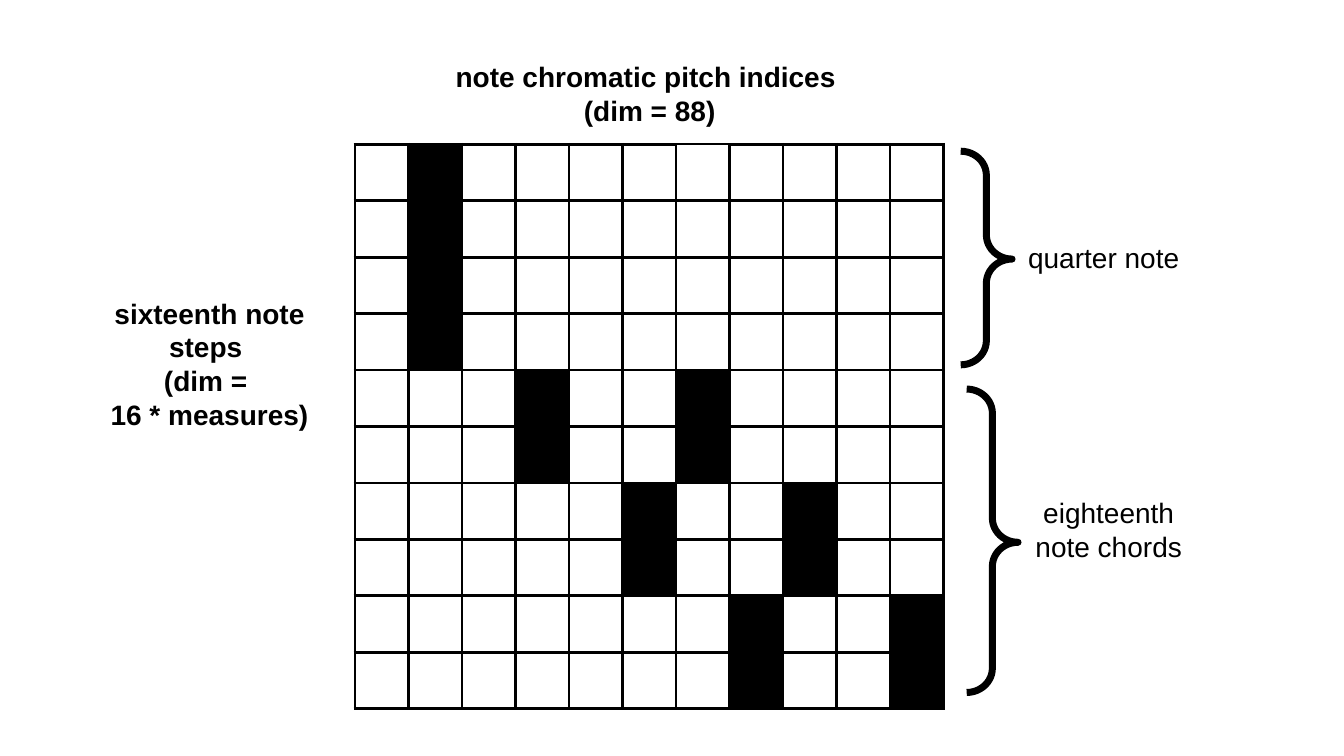
from dataclasses import dataclass

from lxml import etree
from pptx import Presentation
from pptx.dml.color import RGBColor
from pptx.enum.shapes import MSO_SHAPE
from pptx.enum.text import MSO_ANCHOR, PP_ALIGN
from pptx.oxml.ns import qn
from pptx.util import Pt

BRACE = MSO_SHAPE.RIGHT_BRACE
CENTER = PP_ALIGN.CENTER
TOP = MSO_ANCHOR.TOP
BLACK, WHITE = "000000", "FFFFFF"
FONT = "Arial"
ROWS, COLS = 10, 11
CELL_W, CELL_H = 38.23, 40.32
EDGE, THIN = 2.25, 1.5


@dataclass
class Note:
    col: int
    start: int
    steps: int


@dataclass
class Label:
    text: str
    left: float
    top: float
    width: float
    height: float
    bold: bool = False


@dataclass
class Brace:
    left: float
    top: float
    height: float


NOTES = [
    Note(1, 0, 4),
    Note(3, 4, 2),
    Note(6, 4, 2),
    Note(5, 6, 2),
    Note(8, 6, 2),
    Note(7, 8, 2),
    Note(10, 8, 2),
]
LABELS = [
    Label("note chromatic pitch indices \n(dim = 88)", 308.2, 38.9, 311.8, 55.7, True),
    Label("sixteenth note steps \n(dim = \n16 * measures)", 62.6, 208.1, 174.2, 104.2, True),
    Label("quarter note", 723.6, 168.5, 129.6, 31.5),
    Label("eighteenth note chords", 727.2, 350.6, 129.6, 55.7),
]
BRACES = [Brace(686.2, 108, 152.6), Brace(690.5, 277.9, 216.7)]


def color(code: str) -> RGBColor:
    return RGBColor.from_string(code)


def add_border(cell, side: str, width: float) -> None:
    props = cell._tc.get_or_add_tcPr()
    line = etree.SubElement(props, qn(f"a:ln{side}"), w=str(Pt(width)))
    fill = etree.SubElement(line, qn("a:solidFill"))
    etree.SubElement(fill, qn("a:srgbClr"), val=BLACK)


def draw_grid(slide) -> None:
    frame = slide.shapes.add_table(
        ROWS, COLS, Pt(253.6), Pt(103.1), Pt(CELL_W * COLS), Pt(CELL_H * ROWS)
    )
    table = frame.table
    table.first_row = table.horz_banding = False
    for col in table.columns:
        col.width = Pt(CELL_W)
    for row in table.rows:
        row.height = Pt(CELL_H)
    played = {
        (step, note.col)
        for note in NOTES
        for step in range(note.start, note.start + note.steps)
    }
    for row in range(ROWS):
        for col in range(COLS):
            cell = table.cell(row, col)
            for side in "LRTB":
                thin = (row, col, side) == (0, 6, "T")
                add_border(cell, side, THIN if thin else EDGE)
            cell.fill.solid()
            cell.fill.fore_color.rgb = color(BLACK if (row, col) in played else WHITE)


def draw_label(slide, label: Label) -> None:
    box = slide.shapes.add_textbox(
        Pt(label.left), Pt(label.top), Pt(label.width), Pt(label.height)
    )
    frame = box.text_frame
    frame.word_wrap = True
    frame.vertical_anchor = TOP
    frame.text = label.text
    for para in frame.paragraphs:
        para.alignment = CENTER
        for run in para.runs:
            run.font.name = FONT
            run.font.size = Pt(20)
            run.font.bold = label.bold
            run.font.color.rgb = color(BLACK)


def draw_brace(slide, brace: Brace) -> None:
    shape = slide.shapes.add_shape(
        BRACE, Pt(brace.left), Pt(brace.top), Pt(36.7), Pt(brace.height)
    )
    shape.shadow.inherit = False
    shape.adjustments[0] = 0.47
    shape.adjustments[1] = 0.505
    shape.fill.background()
    shape.line.color.rgb = color(BLACK)
    shape.line.width = Pt(5)


def main() -> None:
    deck = Presentation()
    deck.slide_width, deck.slide_height = Pt(960), Pt(540)
    slide = deck.slides.add_slide(deck.slide_layouts[6])
    draw_grid(slide)
    for label in LABELS:
        draw_label(slide, label)
    for brace in BRACES:
        draw_brace(slide, brace)
    deck.save("out.pptx")


if __name__ == "__main__":
    main()
